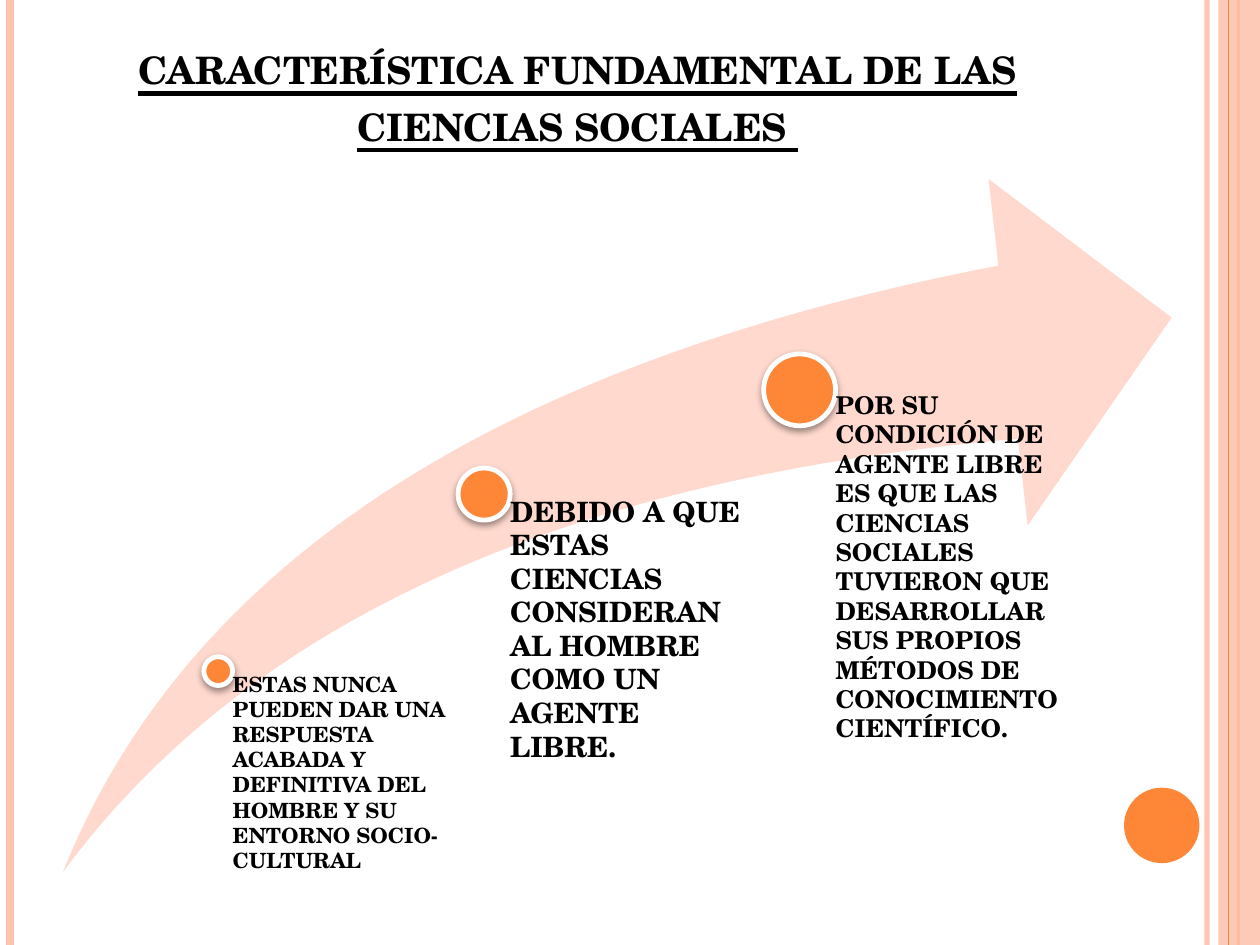
from lxml import etree
from pptx import Presentation
from pptx.dml.color import RGBColor
from pptx.enum.shapes import MSO_CONNECTOR, MSO_SHAPE
from pptx.enum.text import MSO_ANCHOR, MSO_AUTO_SIZE, PP_ALIGN
from pptx.oxml.ns import qn
from pptx.util import Cm, Pt

STRAIGHT = MSO_CONNECTOR.STRAIGHT
RECTANGLE, OVAL, SWOOSH = MSO_SHAPE.RECTANGLE, MSO_SHAPE.OVAL, MSO_SHAPE.SWOOSH_ARROW

BLACK = RGBColor(0x00, 0x00, 0x00)
WHITE = RGBColor(0xFF, 0xFF, 0xFF)
ORANGE = RGBColor(0xFE, 0x86, 0x37)
SALMON = RGBColor(0xFE, 0xC3, 0xAE)
PALE = RGBColor(0xFF, 0xD9, 0xCE)
FONT = "TeX Gyre Schola"

# Content (lengths in cm, sizes in points)
TITLE = "característica fundamental de las ciencias sociales "
# text, font size, dot centre x and y, dot diameter, text width
STEPS = [
    ("ESTAS NUNCA PUEDEN DAR UNA RESPUESTA ACABADA Y DEFINITIVA DEL HOMBRE "
     "Y SU ENTORNO SOCIO-CULTURAL", 12, 4.4, 13.53, 0.58, 5.21),
    ("DEBIDO A QUE ESTAS CIENCIAS CONSIDERAN AL HOMBRE COMO UN AGENTE LIBRE.",
     16, 9.76, 9.96, 1.05, 5.36),
    ("POR SU CONDICIÓN DE AGENTE LIBRE ES QUE LAS CIENCIAS SOCIALES TUVIERON "
     "QUE DESARROLLAR SUS PROPIOS MÉTODOS DE CONOCIMIENTO CIENTÍFICO.",
     14, 16.12, 7.86, 1.45, 5.36),
]
PAGE_W, PAGE_H = 25.4, 19.05
BAND_LEFT = 24.56
ARROW = (1.27, 3.61, 22.35, 13.97)
ARROW_BOTTOM = ARROW[1] + ARROW[3]
# x, colour, width, opacity in percent
OUTER_RULES = [(24.33, SALMON, 3, 93), (0.2, SALMON, 4.5, 100), (24.97, ORANGE, 1.5, 100)]
INNER_RULE = (24.77, ORANGE, 0.75, 100)

prs = Presentation()
prs.slide_width, prs.slide_height = Cm(PAGE_W), Cm(PAGE_H)
slide = prs.slides.add_slide(prs.slide_layouts[5])
shapes = slide.shapes


def set_opacity(element, percent):
    color = element.find(".//" + qn("a:srgbClr"))
    etree.SubElement(color, qn("a:alpha"), val=str(percent * 1000))


def add_rule(x, color, width, opacity):
    rule = shapes.add_connector(STRAIGHT, Cm(x), 0, Cm(x), Cm(PAGE_H))
    rule.line.color.rgb = color
    rule.line.width = Pt(width)
    if opacity < 100:
        set_opacity(rule.line._ln, opacity)
    etree.SubElement(rule._element.spPr, qn("a:effectLst"))


def add_filled(kind, left, top, width, height, color):
    shape = shapes.add_shape(kind, Cm(left), Cm(top), Cm(width), Cm(height))
    shape.shadow.inherit = False
    shape.fill.solid()
    shape.fill.fore_color.rgb = color
    shape.line.fill.background()
    return shape


def add_dot_shadow(dot):
    effects = dot._element.spPr.find(qn("a:effectLst"))
    shadow = etree.SubElement(effects, qn("a:outerShdw"), blurRad=str(Pt(4)),
                              dist=str(Pt(2)), dir="5400000", rotWithShape="0")
    etree.SubElement(shadow, qn("a:srgbClr"), val=str(BLACK))
    set_opacity(shadow, 40)


def style_font(font, size):
    font.name, font.size, font.bold = FONT, Pt(size), True
    font.color.rgb = BLACK


# Page decoration
for rule_spec in OUTER_RULES:
    add_rule(*rule_spec)
band = add_filled(RECTANGLE, BAND_LEFT, 0, PAGE_W - BAND_LEFT, PAGE_H, SALMON)
set_opacity(band._element.spPr, 87)
add_rule(*INNER_RULE)
add_filled(OVAL, 22.66, 15.88, 1.52, 1.52, ORANGE)

# Title
title = shapes.title
title.left, title.top, title.width, title.height = Cm(1.27), Cm(0.76), Cm(20.75), Cm(2.41)
heading = title.text_frame
heading.text = TITLE
heading.word_wrap = True
heading.auto_size = MSO_AUTO_SIZE.NONE
heading.vertical_anchor = MSO_ANCHOR.BOTTOM
heading_line = heading.paragraphs[0]
heading_line.alignment = PP_ALIGN.CENTER
heading_run = heading_line.runs[0]
style_font(heading_run.font, 27)
heading_run.font.underline = True
heading_run._r.get_or_add_rPr().set("cap", "small")

# Rising arrow
arrow = add_filled(SWOOSH, *ARROW, PALE)
arrow.adjustments[0] = arrow.adjustments[1] = 0.25

# Steps: each text starts at its dot's centre and is indented by the radius
for text, size, x, y, diameter, width in STEPS:
    radius = diameter / 2
    dot = add_filled(OVAL, x - radius, y - radius, diameter, diameter, ORANGE)
    dot.line.color.rgb = WHITE
    dot.line.width = Pt(2.75)
    add_dot_shadow(dot)

    frame = shapes.add_textbox(Cm(x), Cm(y), Cm(width), Cm(ARROW_BOTTOM - y)).text_frame
    frame.word_wrap = True
    frame.margin_left = Cm(radius)
    frame.margin_top = frame.margin_right = frame.margin_bottom = 0
    frame.text = text
    style_font(frame.paragraphs[0].font, size)

prs.save("out.pptx")
